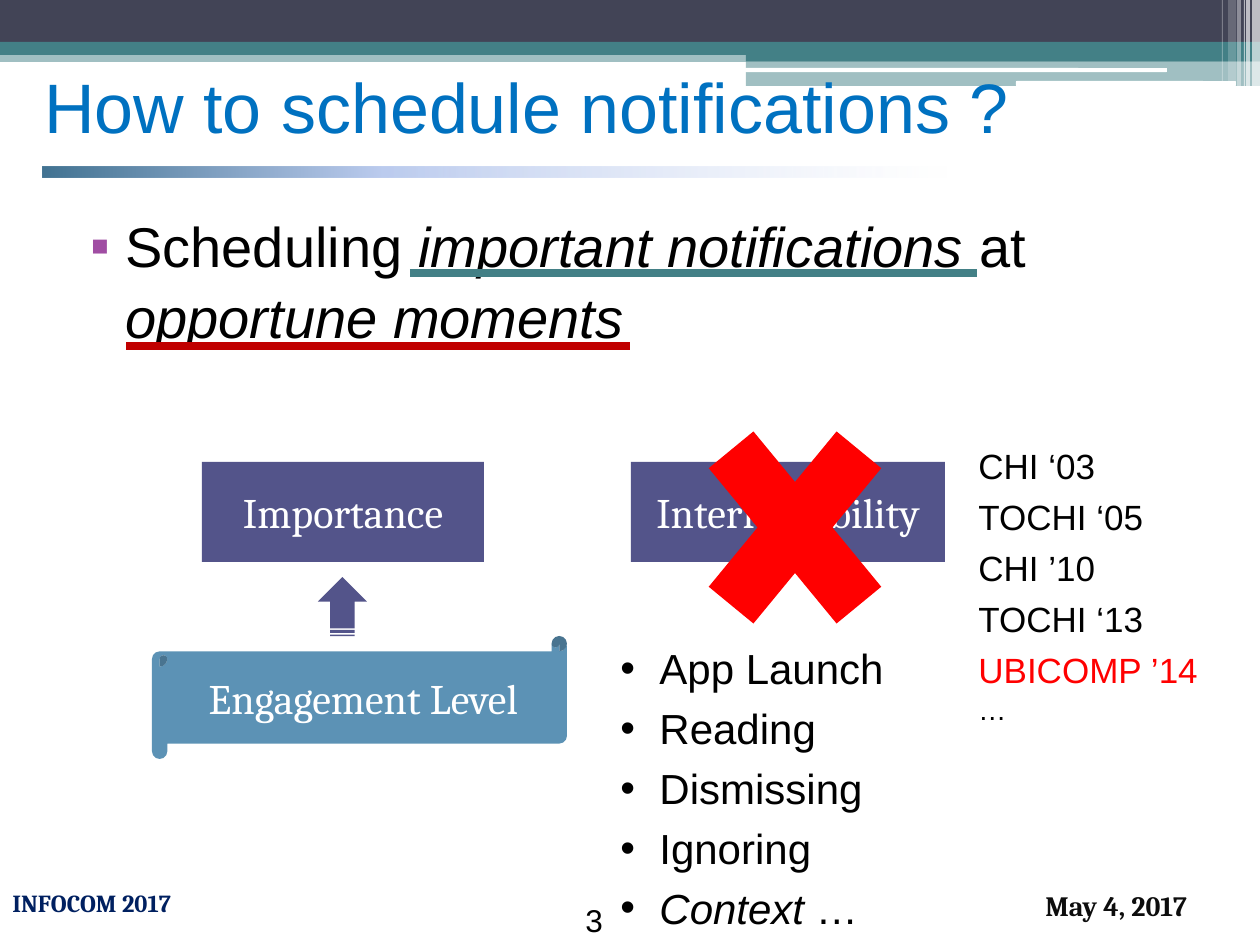
from dataclasses import dataclass

from lxml import etree
from pptx import Presentation
from pptx.dml.color import RGBColor
from pptx.enum.shapes import MSO_CONNECTOR, MSO_SHAPE
from pptx.enum.text import MSO_ANCHOR, PP_ALIGN
from pptx.oxml.ns import qn
from pptx.util import Pt

RECT = MSO_SHAPE.RECTANGLE
ROUND = MSO_SHAPE.ROUNDED_RECTANGLE
CROSS = MSO_SHAPE.MATH_MULTIPLY
SCROLL = MSO_SHAPE.HORIZONTAL_SCROLL
ARROW = MSO_SHAPE.STRIPED_RIGHT_ARROW
LINE = MSO_CONNECTOR.STRAIGHT
MIDDLE = MSO_ANCHOR.MIDDLE
CENTER = PP_ALIGN.CENTER

UNIT = 914400 / 126


@dataclass(frozen=True)
class Theme:
    sans: str = "Arial"
    serif: str = "Cambria"
    black: str = "000000"
    white: str = "FFFFFF"
    slate: str = "424456"
    teal: str = "438086"
    box: str = "53548A"
    scroll: str = "5C92B5"
    red: str = "FF0000"
    wine: str = "C00000"
    title: str = "0071C0"
    mark: str = "A04DA3"
    navy: str = "002060"
    ink: str = "0D0D0D"
    fade: tuple = ((0, "427392", 100), (29, "BCCCEF", 100), (77, "DEE6F7", 0))
    huge: int = 40
    large: int = 32
    medium: int = 24
    small: int = 20
    page: int = 18
    date: int = 16
    venue: int = 14


def px(*sizes):
    return [round(size * UNIT) for size in sizes]


def color(name):
    return RGBColor.from_string(name)


def add(parent, tag, **attrs):
    """Append a DrawingML child element."""
    node = etree.SubElement(parent, qn(tag))
    for key, value in attrs.items():
        node.set(key, str(value))
    return node


class Deck:
    def __init__(self, theme):
        self.theme = theme
        self.file = Presentation()
        self.file.slide_width, self.file.slide_height = px(1260, 945)
        self.slide = self.file.slides.add_slide(self.file.slide_layouts[6])

    def shape(self, kind, area, fill, alpha=100, label=None):
        shape = self.slide.shapes.add_shape(kind, *px(*area))
        shape.shadow.inherit = False
        shape.fill.solid()
        shape.fill.fore_color.rgb = color(fill)
        shape.line.fill.background()
        if alpha < 100:
            tint = shape.fill._xPr.find(qn("a:solidFill"))[0]
            add(tint, "a:alpha", val=alpha * 1000)
        if label:
            frame = shape.text_frame
            frame.text = label
            frame.vertical_anchor = MIDDLE
            para = frame.paragraphs[0]
            para.alignment = CENTER
            self.font(para.font, self.theme.medium, self.theme.white, self.theme.serif)
        return shape

    def fade(self, area, stops):
        """Draw a bar whose colours run from left to right."""
        shape = self.shape(RECT, area, stops[0][1])
        shape.fill.gradient()
        shape.fill.gradient_angle = 0
        group = shape.fill._xPr.find(qn("a:gradFill")).find(qn("a:gsLst"))
        for old in list(group):
            group.remove(old)
        for pos, name, alpha in stops:
            stop = add(group, "a:gs", pos=pos * 1000)
            tint = add(stop, "a:srgbClr", val=name)
            add(tint, "a:alpha", val=alpha * 1000)

    def font(self, font, size, name, face, bold=False):
        font.size = Pt(size)
        font.name = face
        font.bold = bold
        font.color.rgb = color(name)

    def text(self, area, lines, size, name=None, face=None, bold=False,
             anchor=None, wrap=True, lead=1.0, after=0, mark=None):
        """Set lines of (text, style) runs; mark is (sign, colour, indent)."""
        frame = self.slide.shapes.add_textbox(*px(*area)).text_frame
        frame.word_wrap = wrap
        if anchor is not None:
            frame.vertical_anchor = anchor
        for row, runs in enumerate(lines):
            para = frame.paragraphs[0] if row == 0 else frame.add_paragraph()
            para.line_spacing = lead
            para.space_after = Pt(after)
            if mark:
                self.bullet(para, *mark)
            for words, style in runs:
                run = para.add_run()
                run.text = words
                self.font(run.font, style.get("size", size),
                          style.get("color", name or self.theme.black),
                          face or self.theme.sans, bold)
                run.font.italic = style.get("italic", False)

    def bullet(self, para, sign, name, left, hang):
        props = para._p.get_or_add_pPr()
        left, hang = px(left, hang)
        props.set("marL", str(left))
        props.set("indent", str(-hang))
        add(add(props, "a:buClr"), "a:srgbClr", val=name)
        add(props, "a:buFont", typeface=self.theme.sans)
        add(props, "a:buChar", char=sign)

    def line(self, left, right, top, name, width):
        line = self.slide.shapes.add_connector(LINE, *px(left, top, right, top))
        line.line.color.rgb = color(name)
        line.line.width = Pt(width)
        add(line._element.spPr, "a:effectLst")


def plain(*words):
    return [[(word, {})] for word in words]


def header(deck):
    look = deck.theme
    for area, name, alpha in (
        ((0, 50, 1260, 12), look.teal, 50),
        ((0, 0, 1260, 42), look.slate, 100),
        ((0, 42, 1260, 13), look.teal, 100),
        ((746, 49, 514, 12), look.teal, 100),
        ((746, 61, 514, 25), look.teal, 50),
    ):
        deck.shape(RECT, area, name, alpha)
    for area in ((745, 68, 422, 4), (1016, 81, 220, 5)):
        deck.shape(ROUND, area, look.white)
    for left, wide, high, alpha in (
        (1252, 8, 86, 65), (1246, 4, 86, 65), (1244, 1, 86, 60),
        (1237, 4, 86, 40), (1228, 8, 81, 20), (1222, 1, 81, 30),
    ):
        deck.shape(RECT, (left, 0, wide, high), look.white, alpha)
    deck.fade((42, 167, 1176, 11), look.fade)
    deck.text((32, 32, 1134, 147), plain("How to schedule notifications ?"),
              look.huge, look.title, anchor=MIDDLE)


def footer(deck):
    look = deck.theme
    deck.text((0, 882, 368, 63), plain("INFOCOM 2017"), look.venue,
              look.navy, look.serif, bold=True)
    deck.text((1033, 882, 227, 63), plain("May 4, 2017"), look.date,
              look.ink, look.serif, bold=True)
    deck.text((573, 895, 64, 50), plain("3"), look.page, wrap=False)


def body(deck):
    look = deck.theme
    slant = {"italic": True}
    goal = [("Scheduling ", {}), ("important notifications ", slant),
            ("at ", {}), ("opportune moments", slant)]
    deck.text((63, 202, 1134, 627), [goal], look.large, lead=1.05,
              mark=("▪", look.mark, 50, 35))
    deck.line(410, 977, 273, look.teal, 5)
    deck.line(126, 630, 346, look.wine, 5)

    for left, wide, label in ((202, 282, "Importance"), (631, 314, "Interruptibility")):
        deck.shape(RECT, (left, 462, wide, 100), look.box, label=label)
    last = [("UBICOMP ’14 ", {"color": look.red}), ("…", {"size": look.date})]
    papers = plain("CHI ‘03", "TOCHI ‘05", "CHI ’10", "TOCHI ‘13") + [last]
    deck.text((966, 436, 262, 328), papers, look.small, lead=1.05, after=4)
    deck.shape(CROSS, (672, 378, 246, 299), look.red)

    deck.shape(SCROLL, (152, 636, 415, 123), look.scroll, label="Engagement Level")
    deck.shape(ARROW, (313, 582, 59, 49), look.box).rotation = 270
    cues = plain("App Launch", "Reading", "Dismissing", "Ignoring")
    cues.append([("Context", slant), (" …", {})])
    deck.text((608, 634, 336, 295), cues, look.medium, lead=1.05, after=4,
              mark=("•", look.black, 39, 39))


def main():
    deck = Deck(Theme())
    header(deck)
    body(deck)
    footer(deck)
    deck.file.save("out.pptx")


if __name__ == "__main__":
    main()
